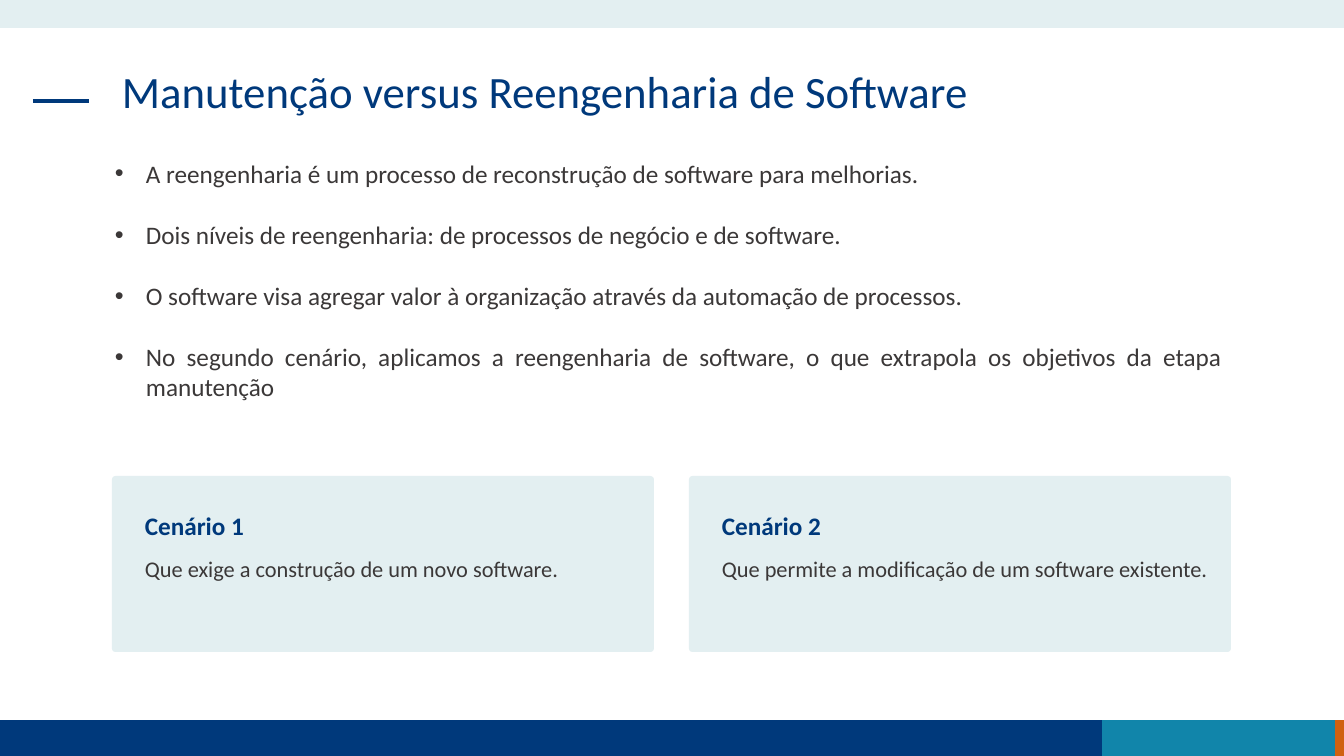
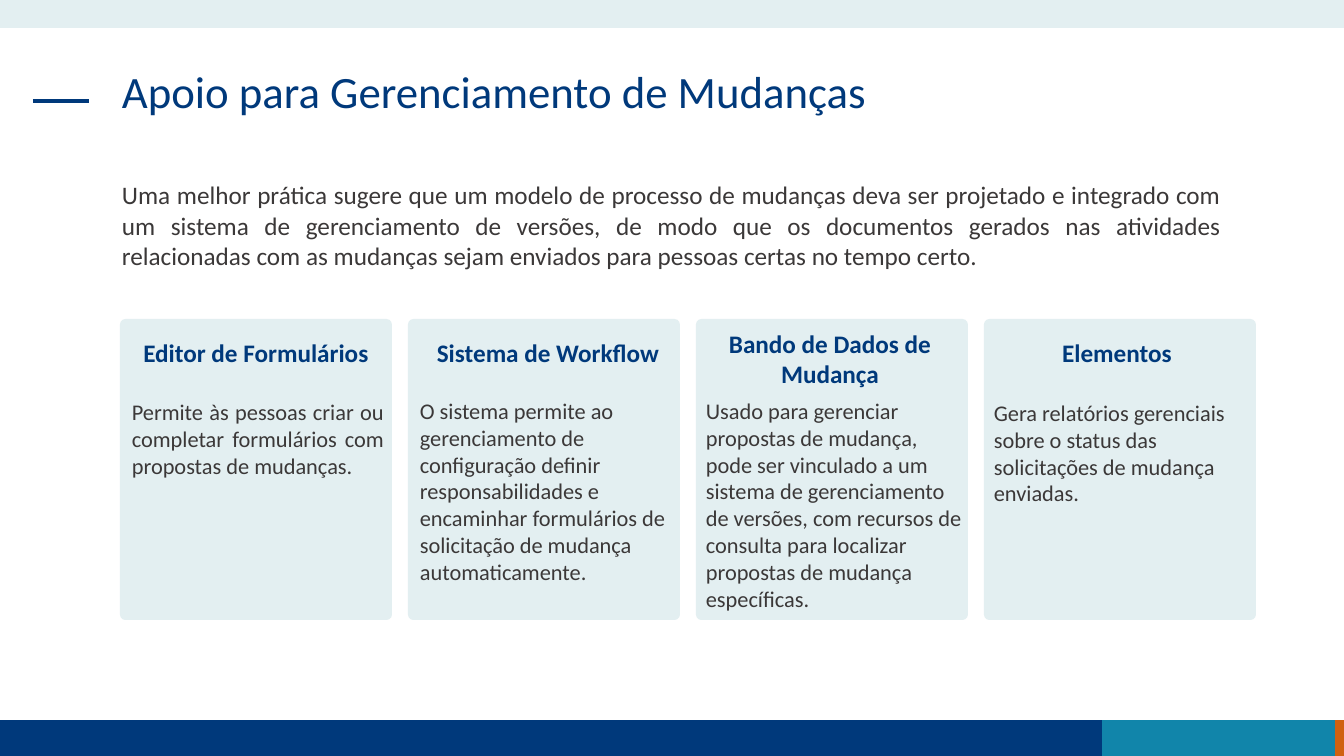
from lxml import etree
from pptx import Presentation
from pptx import util as u
from pptx.dml.color import RGBColor
from pptx.enum import shapes, text
from pptx.oxml.ns import qn

PX = 914400 / 100.8  # EMU in one px

NAVY = RGBColor(0x00, 0x39, 0x7B)
TEAL = RGBColor(0x11, 0x85, 0xAA)
ORANGE = RGBColor(0xD0, 0x61, 0x10)
PALE = RGBColor(0xE3, 0xEF, 0xF1)
GREY = RGBColor(0x3B, 0x38, 0x38)

LEFT, CENTER, JUSTIFY = text.PP_ALIGN.LEFT, text.PP_ALIGN.CENTER, text.PP_ALIGN.JUSTIFY
TOP, MIDDLE = text.MSO_ANCHOR.TOP, text.MSO_ANCHOR.MIDDLE
RECT, ROUND = shapes.MSO_SHAPE.RECTANGLE, shapes.MSO_SHAPE.ROUNDED_RECTANGLE

# Font formats
TITLE = {"name": "Calibri", "size": u.Pt(32), "bold": False}
HEADING = {"name": "Calibri", "size": u.Pt(18), "bold": True}
BODY = {"name": "Calibri", "size": u.Pt(18), "bold": False}
SMALL = {"name": "Calibri", "size": u.Pt(16), "bold": False}

BANDS = [  # x, y, width, height, colour
    (1335, 720, 9, 36, ORANGE),
    (0, 720, 1102, 36, NAVY),
    (1102, 720, 233, 36, TEAL),
    (0, 0, 1344, 28, PALE),
]
TITLES = ["Manutenção versus Reengenharia de Software",
          "Apoio para Gerenciamento de Mudanças"]


def add_box(s, kind, x, y, w, h, color):
    sp = s.shapes.add_shape(kind, *(round(v * PX) for v in (x, y, w, h)))
    sp.shadow.inherit = False
    sp.fill.solid()
    sp.fill.fore_color.rgb = color
    sp.line.fill.background()
    if kind == ROUND:
        sp.adjustments[0] = 0.02


def add_text(s, x, y, w, h, lines, font, color, align=LEFT, anchor=TOP,
             spacing=1.0, bullet_indent=0, gap=0):
    sp = s.shapes.add_textbox(*(round(v * PX) for v in (x, y, w, h)))
    tf = sp.text_frame
    tf.word_wrap = True
    tf.vertical_anchor = anchor
    for i, line in enumerate(lines):
        p = tf.paragraphs[0] if i == 0 else tf.add_paragraph()
        p.alignment = align
        p.line_spacing = spacing
        if i:
            p.space_before = u.Pt(gap)
        if bullet_indent:
            pPr = p._p.get_or_add_pPr()
            pPr.set("marL", str(round(bullet_indent * PX)))
            pPr.set("indent", str(round(-bullet_indent * PX)))
            etree.SubElement(pPr, qn("a:buFont"), typeface="Arial")
            etree.SubElement(pPr, qn("a:buChar"), char="•")
        r = p.add_run()
        r.text = line
        for key, value in font.items():
            setattr(r.font, key, value)
        r.font.color.rgb = color


prs = Presentation()
prs.slide_width, prs.slide_height = round(1344 * PX), round(756 * PX)

# Shared frame: bands, title dash and title
for title in TITLES:
    s = prs.slides.add_slide(prs.slide_layouts[6])
    for band in BANDS:
        add_box(s, RECT, *band)
    dash = s.shapes.add_connector(shapes.MSO_CONNECTOR.STRAIGHT,
                                  *(round(v * PX) for v in (33, 101, 89, 101)))
    dash.line.color.rgb = NAVY
    dash.line.width = u.Pt(3)
    etree.SubElement(dash._element.spPr, qn("a:effectLst"))
    add_text(s, 112, 65, 1127, 95, [title], TITLE, NAVY, spacing=0.9)

# Slide 1: bullets
s = prs.slides[0]
bullets = [
    "A reengenharia é um processo de reconstrução de software para melhorias.",
    "Dois níveis de reengenharia: de processos de negócio e de software.",
    "O software visa agregar valor à organização através da automação de processos.",
    "No segundo cenário, aplicamos a reengenharia de software, o que extrapola "
    "os objetivos da etapa manutenção",
]
add_text(s, 105, 153, 1127, 254, bullets, BODY, GREY, JUSTIFY, MIDDLE,
         bullet_indent=31, gap=22)

# Slide 1: scenario cards
scenarios = [
    ("Cenário 1", "Que exige a construção de um novo software."),
    ("Cenário 2", "Que permite a modificação de um software existente."),
]
for i, (heading, body) in enumerate(scenarios):
    x = 112 + 577 * i
    add_box(s, ROUND, x, 476, 542, 176, PALE)
    add_text(s, x + 23, 505, 424, 40, [heading], HEADING, NAVY)
    add_text(s, x + 23, 550, 508, 37, [body], SMALL, GREY)

# Slide 2: introduction
s = prs.slides[1]
intro = ("Uma melhor prática sugere que um modelo de processo de mudanças deva ser "
         "projetado e integrado com um sistema de gerenciamento de versões, de modo que "
         "os documentos gerados nas atividades relacionadas com as mudanças sejam "
         "enviados para pessoas certas no tempo certo.")
add_text(s, 112, 174, 1119, 102, [intro], BODY, GREY, JUSTIFY, MIDDLE)

# Slide 2: tool cards (heading, heading x and y, body, body x, y and width, alignment)
tools = [
    ("Editor de Formulários", 120, 332,
     "Permite às pessoas criar ou completar formulários com propostas de mudanças.",
     122, 393, 272, JUSTIFY),
    ("Sistema de Workflow", 412, 332,
     "O sistema permite ao gerenciamento de configuração definir responsabilidades e "
     "encaminhar formulários de solicitação de mudança automaticamente.",
     410, 392, 272, LEFT),
    ("Bando de Dados de Mudança", 694, 323,
     "Usado para gerenciar propostas de mudança, pode ser vinculado a um sistema de "
     "gerenciamento de versões, com recursos de consulta para localizar propostas de "
     "mudança específicas.",
     696, 392, 280, LEFT),
    ("Elementos", 981, 332,
     "Gera relatórios gerenciais sobre o status das solicitações de mudança enviadas.",
     984, 394, 272, LEFT),
]
for i, (heading, hx, hy, body, bx, by, bw, align) in enumerate(tools):
    add_box(s, ROUND, 120 + 288 * i, 319, 272, 301, PALE)
    add_text(s, hx, hy, 272, 40, [heading], HEADING, NAVY, CENTER)
    add_text(s, bx, by, bw, 220, [body], SMALL, GREY, align)

prs.save("out.pptx")
